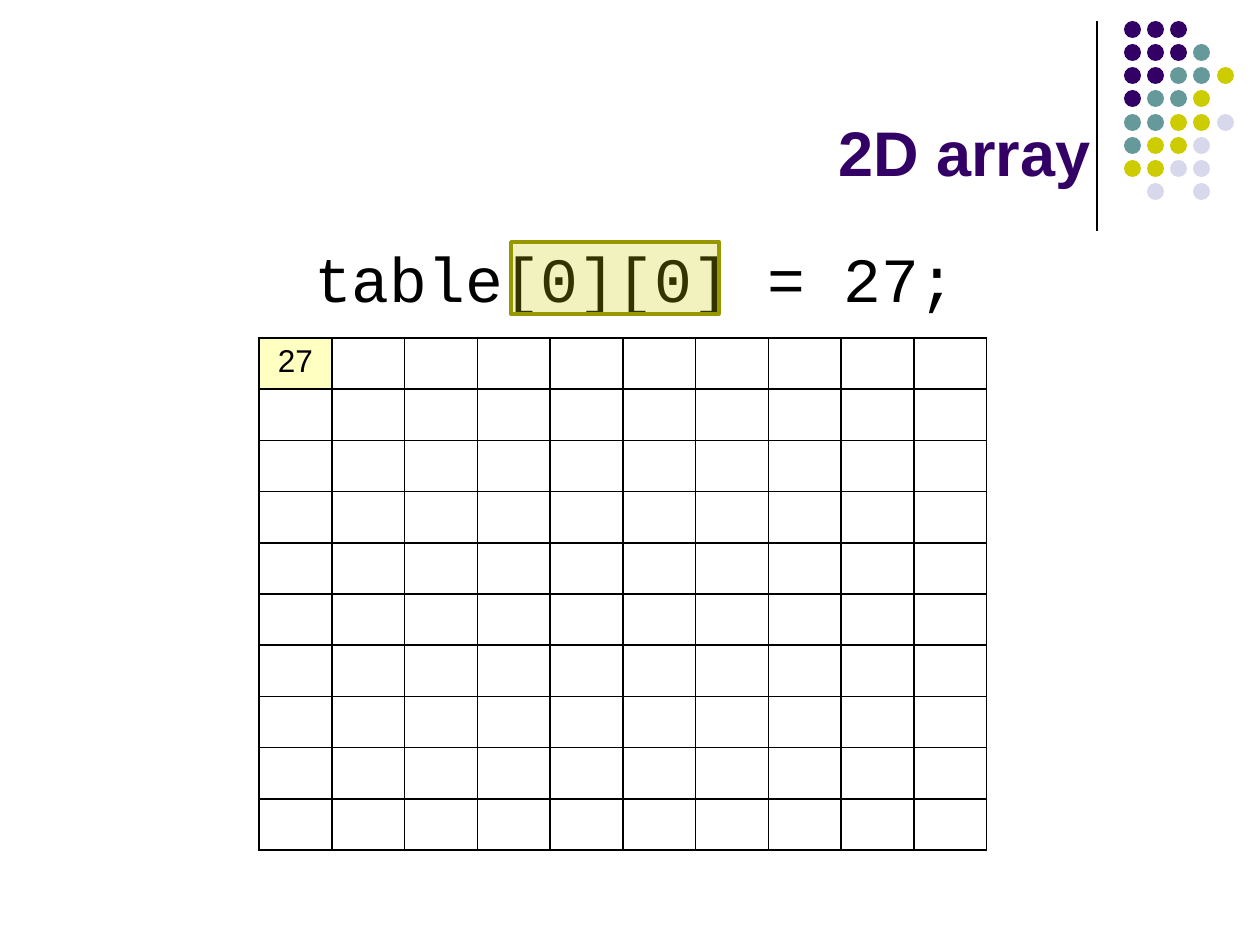
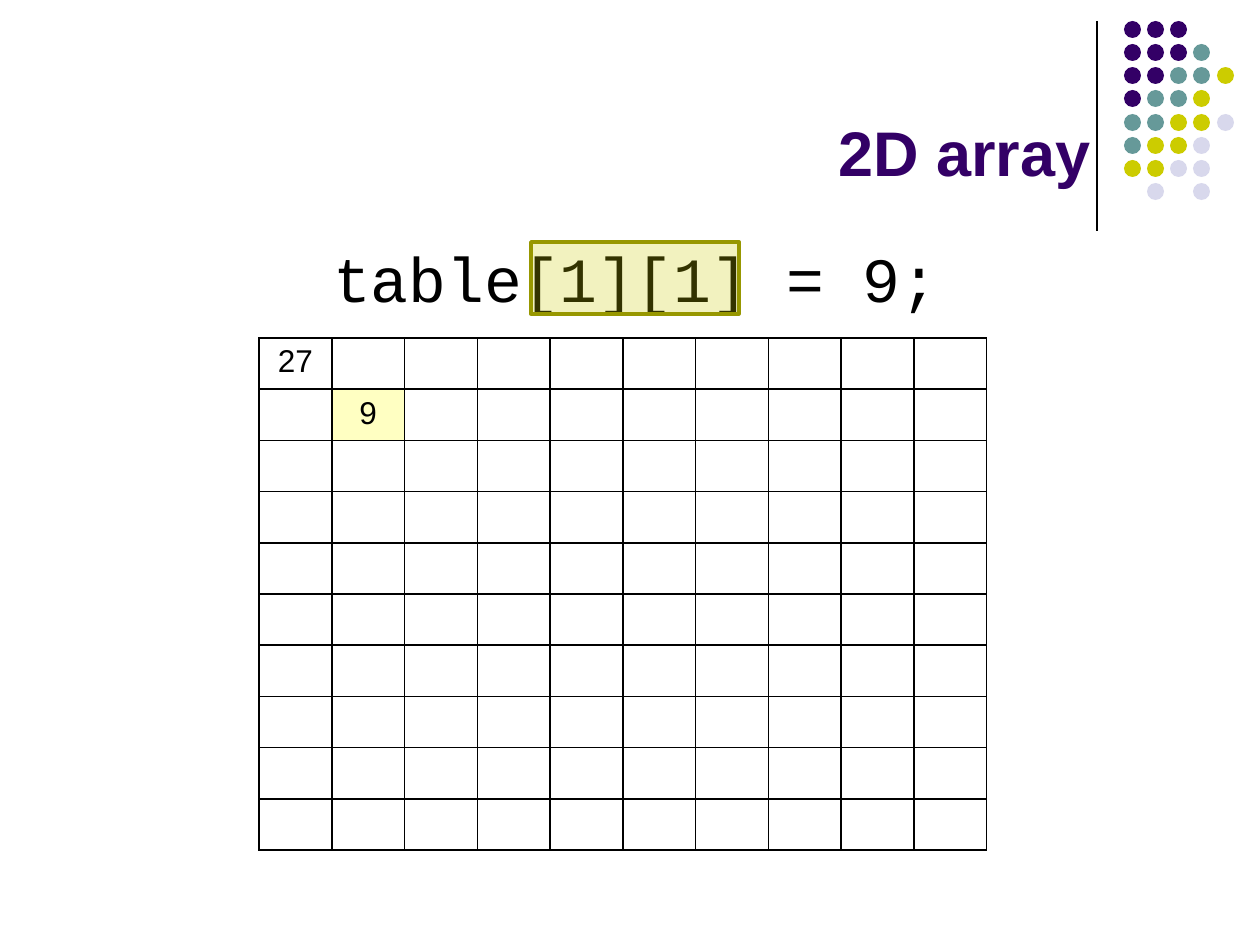
from lxml import etree
from pptx import Presentation
from pptx.dml import color
from pptx.enum import shapes, text
from pptx.oxml import ns
from pptx import util as u

SCALE = 914400 / 126
PURPLE, TEAL, OLIVE, PALE = "330066", "669999", "CCCC00", "D8D8EC"
BLACK, YELLOW, DARK_OLIVE = "000000", "FFFFC2", "979700"
DOT_COLOURS = {"P": PURPLE, "T": TEAL, "O": OLIVE, "L": PALE}
DOT_ROWS = ["PPP", "PPPT", "PPTTO", "PTTO", "TTOOL", "TOOL", "OOLL", " L L"]
DOT_LEFT, DOT_TOP, DOT_SIZE, DOT_SPAN = 1124, 21, 17, 162
TABLE_BOX = (259, 338, 728, 512)
GRID = 10


def px(length):
    """Turn picture pixels into EMU."""
    return u.Emu(round(length * SCALE))


def rgb(value):
    """Turn a hex string into a colour."""
    return color.RGBColor.from_string(value)


def box(left, top, width, height):
    """Turn a pixel box into EMU lengths."""
    return [px(length) for length in (left, top, width, height)]


def write(frame, words, font="Arial", size=18, colour=BLACK, bold=False,
          align=text.PP_ALIGN.CENTER, spacing=None, before=None):
    """Write one formatted paragraph into a text frame."""
    paragraph = frame.paragraphs[0]
    paragraph.alignment = align
    paragraph.line_spacing = spacing
    if before is not None:
        paragraph.space_before = u.Pt(before)
    run = paragraph.add_run()
    run.text = words
    run.font.name = font
    run.font.size = u.Pt(size)
    run.font.bold = bold
    run.font.color.rgb = rgb(colour)


def add_filled(parent, kind, place, fill):
    """Add a flat preset shape without an outline."""
    shape = parent.add_shape(kind, *box(*place))
    shape.shadow.inherit = False
    shape.fill.solid()
    shape.fill.fore_color.rgb = rgb(fill)
    shape.line.fill.background()
    return shape


def add_corner(slide):
    """Add the rule and the grid of dots at the top right."""
    rule = slide.shapes.add_connector(
        shapes.MSO_CONNECTOR.STRAIGHT, px(1097), px(21), px(1097), px(231))
    rule.line.color.rgb = rgb(BLACK)
    rule.line.width = u.Pt(0.75)
    etree.SubElement(rule._element.spPr, ns.qn("a:effectLst"))
    dots = slide.shapes.add_group_shape().shapes
    pitch = DOT_SPAN / (len(DOT_ROWS) - 1)
    for row, keys in enumerate(DOT_ROWS):
        for column, key in enumerate(keys):
            if key in DOT_COLOURS:
                place = (round(DOT_LEFT + column * pitch),
                         round(DOT_TOP + row * pitch), DOT_SIZE, DOT_SIZE)
                add_filled(dots, shapes.MSO_SHAPE.OVAL, place, DOT_COLOURS[key])


def add_title(slide, words):
    """Place and write the slide title."""
    title = slide.shapes.title
    title.left, title.top, title.width, title.height = box(63, 16, 1040, 179)
    title.text_frame.auto_size = text.MSO_AUTO_SIZE.NONE
    title.text_frame.vertical_anchor = text.MSO_ANCHOR.BOTTOM
    write(title.text_frame, words, size=36, colour=PURPLE, bold=True,
          align=text.PP_ALIGN.RIGHT)


def add_statement(slide, words):
    """Add the line of code above the table."""
    statement = slide.shapes.add_textbox(*box(95, 242, 1081, 651))
    statement.text_frame.word_wrap = True
    write(statement.text_frame, words, font="Courier New", size=36,
          spacing=0.9, before=7.2)


def add_borders(cell):
    """Draw thin black lines on every side of a cell."""
    properties = cell._tc.get_or_add_tcPr()
    for side in ("lnL", "lnR", "lnT", "lnB"):
        line = etree.SubElement(properties, ns.qn(f"a:{side}"), w=str(u.Pt(1)))
        fill = etree.SubElement(line, ns.qn("a:solidFill"))
        etree.SubElement(fill, ns.qn("a:srgbClr"), val=BLACK)


def add_array(slide, values, current):
    """Add the square table and mark the current cell."""
    table = slide.shapes.add_table(GRID, GRID, *box(*TABLE_BOX)).table
    table.first_row = table.horz_banding = False
    for row in range(GRID):
        for column in range(GRID):
            cell = table.cell(row, column)
            add_borders(cell)
            if (row, column) == current:
                cell.fill.solid()
                cell.fill.fore_color.rgb = rgb(YELLOW)
            else:
                cell.fill.background()
            if (row, column) in values:
                write(cell.text_frame, str(values[row, column]))


def add_index_marker(slide, left):
    """Add the translucent frame over the indices."""
    marker = add_filled(slide.shapes, shapes.MSO_SHAPE.RECTANGLE,
                        (left, 242, 208, 72), OLIVE)
    tint = marker._element.spPr.find(".//" + ns.qn("a:srgbClr"))
    etree.SubElement(tint, ns.qn("a:alpha"), val="25000")
    marker.line.color.rgb = rgb(DARK_OLIVE)
    marker.line.width = u.Pt(2)


def add_step(deck, values, current, marker_left):
    """Add a slide that assigns one array element."""
    slide = deck.slides.add_slide(deck.slide_layouts[5])
    row, column = current
    add_corner(slide)
    add_title(slide, "2D array")
    add_statement(slide, f"table[{row}][{column}] = {values[current]};")
    add_array(slide, values, current)
    add_index_marker(slide, marker_left)


def main():
    """Build and save the two slides."""
    deck = Presentation()
    deck.slide_width, deck.slide_height = px(1260), px(945)
    add_step(deck, {(0, 0): 27}, (0, 0), 511)
    add_step(deck, {(0, 0): 27, (1, 1): 9}, (1, 1), 531)
    deck.save("out.pptx")


main()
